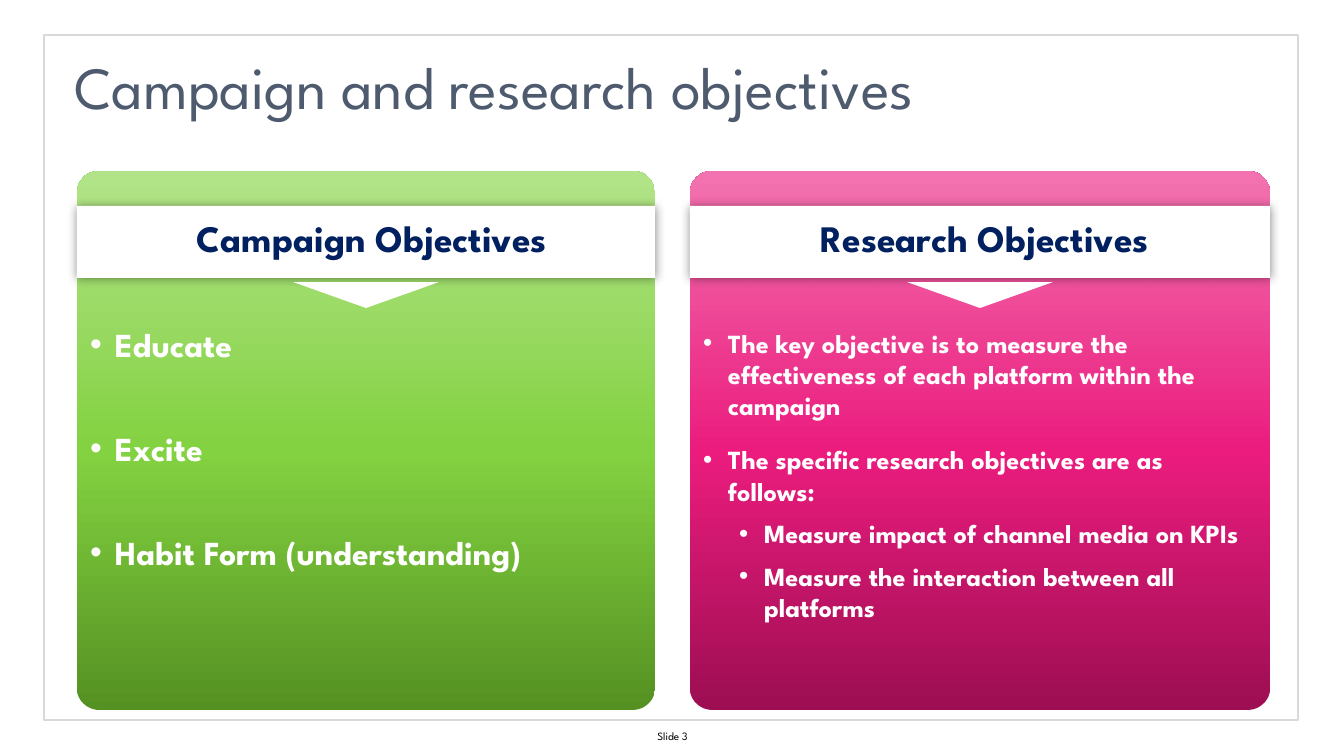
from copy import deepcopy
from dataclasses import dataclass

from lxml import etree
from pptx import Presentation
from pptx.dml.color import RGBColor
from pptx.enum.shapes import MSO_SHAPE
from pptx.enum.text import MSO_ANCHOR, MSO_AUTO_SIZE, PP_ALIGN
from pptx.oxml.ns import qn
from pptx.util import Emu, Pt

RECTANGLE, ROUNDED = MSO_SHAPE.RECTANGLE, MSO_SHAPE.ROUNDED_RECTANGLE
TRIANGLE = MSO_SHAPE.ISOSCELES_TRIANGLE
TOP, MIDDLE = MSO_ANCHOR.TOP, MSO_ANCHOR.MIDDLE
LEFT, CENTER = PP_ALIGN.LEFT, PP_ALIGN.CENTER
FIXED = MSO_AUTO_SIZE.NONE
COMPARISON_LAYOUT = 4
EMU_PER_PX = 914400 / 134.4


@dataclass(frozen=True)
class Theme:
    font: str = "League Spartan"
    white: str = "FFFFFF"
    black: str = "000000"
    frame: str = "D9D9D9"
    title: str = "4E5B6F"
    heading: str = "002060"
    green: tuple = ("559122", "83D241", "B2E389")
    pink: tuple = ("9D0E52", "EB1C7E", "F273AF")
    title_size: int = 32
    heading_size: int = 20
    large_size: int = 18
    list_size: int = 14
    footer_size: int = 6


THEME = Theme()

CARDS = [
    {
        "box": (77, 171, 578, 539),
        "colours": THEME.green,
        "heading": "Campaign Objectives",
        "list_top": 146,
        "size": THEME.large_size,
        "items": [
            ("Educate", 0, 0, 34),
            ("Excite", 0, 0, 34),
            ("Habit Form (understanding)", 0, 0, 6),
        ],
    },
    {
        "box": (690, 171, 580, 539),
        "colours": THEME.pink,
        "heading": "Research Objectives",
        "list_top": 149,
        "size": THEME.list_size,
        "items": [
            ("The key objective is to measure the effectiveness of each platform "
             "within the campaign", 0, 6, 6),
            ("The specific research objectives are as follows:", 0, 6, 0),
            ("Measure impact of channel media on KPIs", 1, 6, 0),
            ("Measure the interaction between all platforms", 1, 6, 0),
        ],
    },
]


def px(length):
    return Emu(round(length * EMU_PER_PX))


def apply(target, values):
    for name, value in values.items():
        setattr(target, name, value)


def place(shape, box):
    apply(shape, dict(zip(("left", "top", "width", "height"), map(px, box))))


def add_shape(page, kind, box, fill=None):
    shape = page.shapes.add_shape(kind, *map(px, box))
    shape.shadow.inherit = False
    shape.line.fill.background()
    if fill:
        shape.fill.solid()
        shape.fill.fore_color.rgb = RGBColor.from_string(fill)
    else:
        shape.fill.background()
    return shape


def paint_gradient(shape, colours):
    shape.fill.gradient()
    shape.fill.gradient_angle = 90
    stop_list = shape._element.spPr.find(qn("a:gradFill")).find(qn("a:gsLst"))
    stop_list.append(deepcopy(stop_list[0]))
    for stop, colour, position in zip(shape.fill.gradient_stops, colours, (0, 0.48, 1)):
        stop.color.rgb = RGBColor.from_string(colour)
        stop.position = position


def add_glow(shape):
    effects = shape._element.spPr.find(qn("a:effectLst"))
    shadow = etree.SubElement(effects, qn("a:outerShdw"), blurRad=str(Pt(5)), dist="0", dir="0")
    colour = etree.SubElement(shadow, qn("a:srgbClr"), val=THEME.black)
    etree.SubElement(colour, qn("a:alpha"), val="40000")


def set_frame(shape, anchor, side, edge):
    apply(shape.text_frame, {
        "word_wrap": True, "auto_size": FIXED, "vertical_anchor": anchor,
        "margin_left": px(side), "margin_right": px(side),
        "margin_top": px(edge), "margin_bottom": px(edge),
    })


def write(para, text, size, colour, bold=False, **layout):
    apply(para, {"space_before": Pt(0), "space_after": Pt(0), **layout})
    span = para.add_run()
    span.text = text
    apply(span.font, {"name": THEME.font, "size": Pt(size), "bold": bold})
    span.font.color.rgb = RGBColor.from_string(colour)


def add_bullet(para, level):
    properties = para._p.get_or_add_pPr()
    properties.set("marL", str(px(61 if level else 25)))
    properties.set("indent", str(px(-25)))
    etree.SubElement(properties, qn("a:buFont"), typeface="Arial")
    etree.SubElement(properties, qn("a:buChar"), char="•")


def bring_forward(page, holder, box):
    page.shapes._spTree.append(holder._element)
    place(holder, box)


def build_title(page, box):
    title = page.shapes.title
    place(title, box)
    set_frame(title, TOP, 0, 0)
    write(title.text_frame.paragraphs[0], "Campaign and research objectives",
          THEME.title_size, THEME.title, alignment=LEFT)


def build_frame(page, box):
    frame = add_shape(page, RECTANGLE, box)
    frame.line.color.rgb = RGBColor.from_string(THEME.frame)
    frame.line.width = Pt(1)


def build_footer(page, box):
    footer = page.shapes.add_textbox(*map(px, box))
    set_frame(footer, MIDDLE, 13, 7)
    write(footer.text_frame.paragraphs[0], "Slide 3", THEME.footer_size,
          THEME.black, alignment=CENTER)


def build_card(page, card, heading, body):
    left, top, width, height = card["box"]
    panel = add_shape(page, ROUNDED, card["box"])
    panel.adjustments[0] = 0.041
    paint_gradient(panel, card["colours"])
    band = add_shape(page, RECTANGLE, (left, top + 35, width, 72), THEME.white)
    add_glow(band)

    bring_forward(page, heading, (left - 22, top + 44, 634, 55))
    set_frame(heading, TOP, 17, 8)
    write(heading.text_frame.paragraphs[0], card["heading"], THEME.heading_size,
          THEME.heading, True, alignment=CENTER, line_spacing=Pt(20))

    pointer_width = 146
    pointer = add_shape(page, TRIANGLE, (left + (width - pointer_width) // 2, top + 111,
                                         pointer_width, 26), THEME.white)
    pointer.rotation = 180

    bring_forward(page, body, (left, top + card["list_top"], width, 350))
    set_frame(body, TOP, 13, 7)
    frame = body.text_frame
    for index, (text, level, before, after) in enumerate(card["items"]):
        para = frame.add_paragraph() if index else frame.paragraphs[0]
        write(para, text, card["size"], THEME.white, True, level=level,
              space_before=Pt(before), space_after=Pt(after))
        add_bullet(para, level)


def main():
    deck = Presentation()
    apply(deck, {"slide_width": px(1344), "slide_height": px(756)})
    page = deck.slides.add_slide(deck.slide_layouts[COMPARISON_LAYOUT])
    holders = list(page.placeholders)[1:]
    build_frame(page, (44, 35, 1254, 685))
    build_footer(page, (516, 724, 313, 23))
    build_title(page, (74, 50, 1195, 70))
    for card, heading, body in zip(CARDS, holders[::2], holders[1::2]):
        build_card(page, card, heading, body)
    deck.save("out.pptx")


if __name__ == "__main__":
    main()
